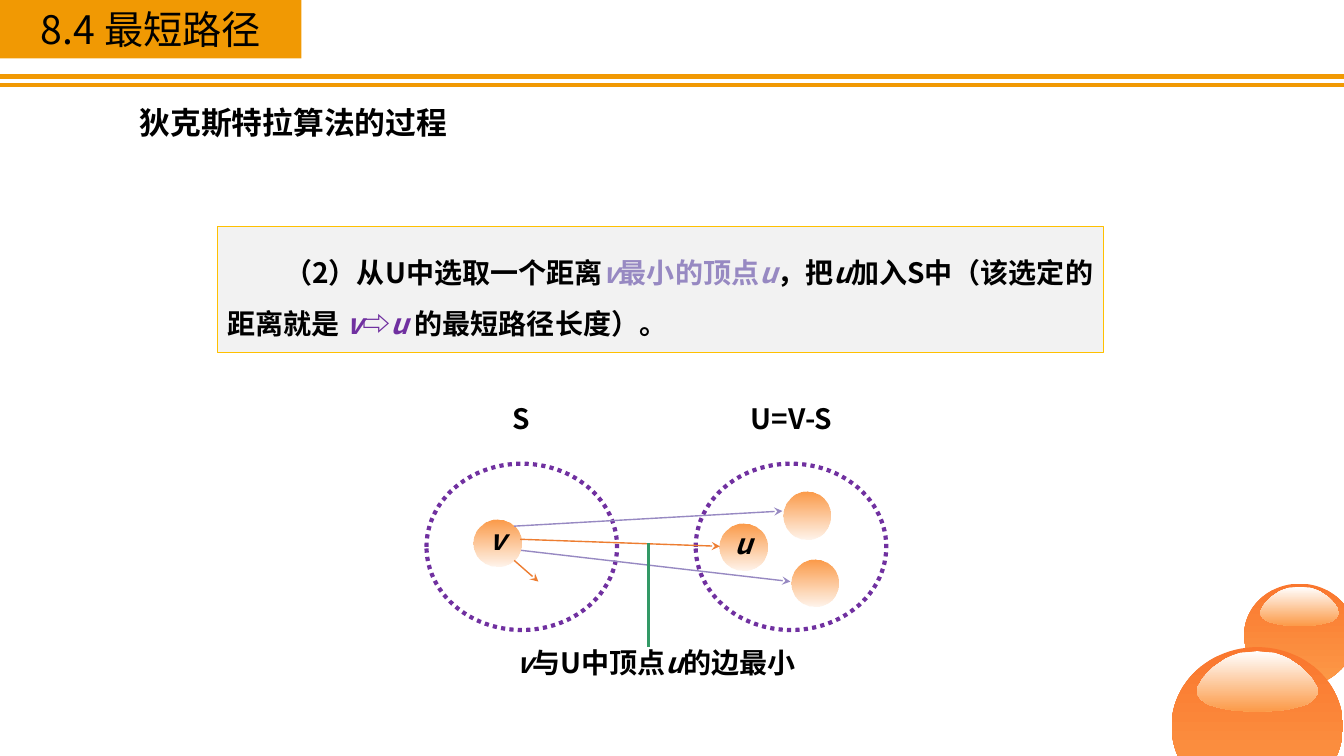
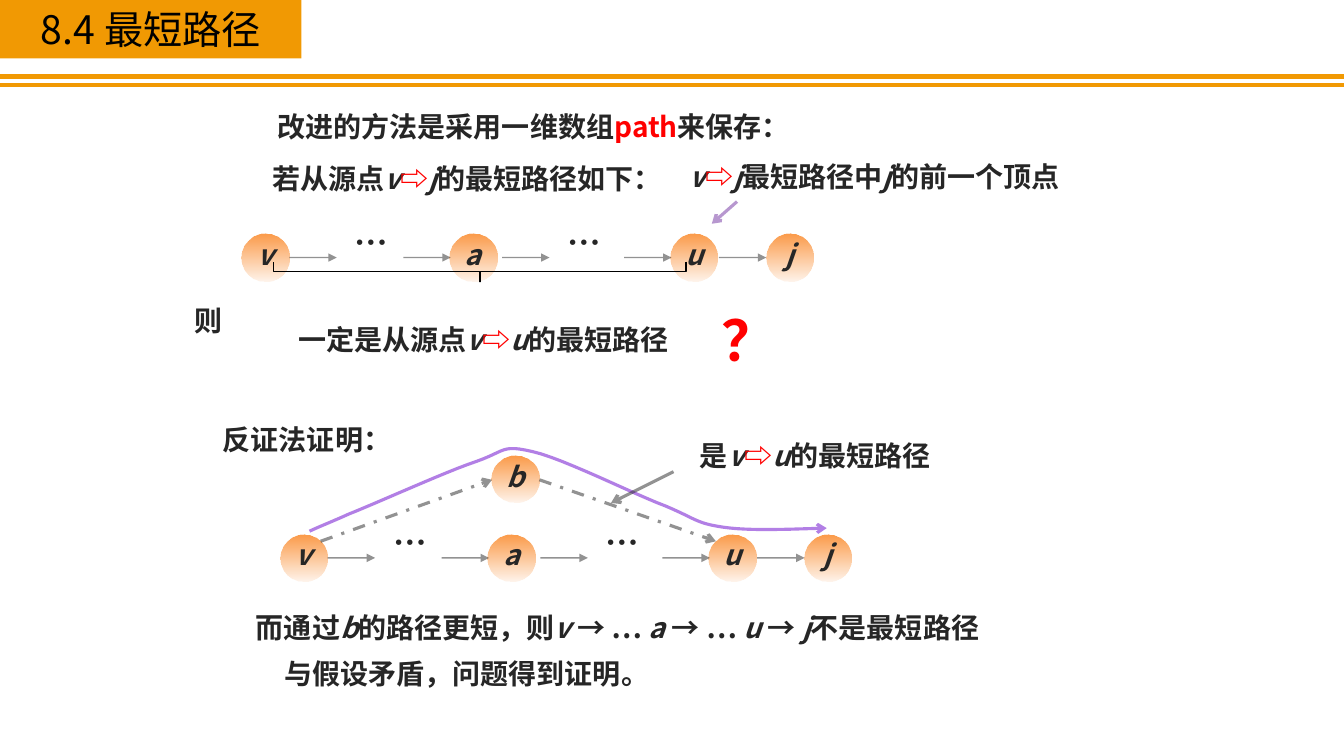
from lxml.etree import SubElement
from pptx import Presentation
from pptx.dml.color import RGBColor
from pptx.enum.dml import MSO_LINE
from pptx.enum.shapes import MSO_CONNECTOR, MSO_SHAPE
from pptx.enum.text import MSO_ANCHOR, MSO_AUTO_SIZE, PP_ALIGN
from pptx.oxml.ns import qn
from pptx.util import Inches, Pt

FONT = "Noto Sans CJK SC"
BLACK, INK, RED = "000000", "262626", "FF0000"
GOLD, PURPLE, PALE = "F19903", "7030A0", "9789C2"
PEACH, FLAME, RUST = "FC9A48", "FA772E", "ED7D31"
TITLE = "8.4 最短路径"
NODE = 0.47

# Runs are split by "|"; a first sign sets (colour, italic)
MARKS = {"_": (None, True), "!": (RED, False), "~": (PALE, True),
         "-": (PALE, False), "^": (PURPLE, True), "`": (PURPLE, False)}

# Slide 1 content
RULE = ("（2）从U中选取一个距离|~v|-最小的顶点|~u|，把|_u|加入S中（该选定的距离就是 "
        "|^v|`⇨|^u |的最短路径长度）。")
SETS = [("S", 4.23, 4.86, 0.63), ("U=V-S", 6.9, 7.3, 1.1)]
SPOTS = [("_v", 4.7, 5.15), ("_u", 7.14, 5.19), ("", 7.85, 5.55), ("", 7.77, 4.88)]
EDGES = [(5.16, 5.35, 7.14, 5.42, RUST), (5.1, 5.56, 5.34, 5.77, RUST),
         (5.1, 5.22, 7.76, 5.07, PALE), (5.17, 5.46, 7.84, 5.77, PALE)]
BALLS = [(12.34, 5.79, 1.1, 1.02, 12.89, 5.82, 0.39),
         (11.62, 6.42, 1.7, 1.57, 12.47, 6.46, 0.6)]
# Right half of the shine, for a half width and height of 1
SHINE = [(0, 0), (0.15, 0.02), (0.28, 0.03), (0.42, 0.08), (0.53, 0.13),
         (0.63, 0.2), (0.73, 0.27), (0.83, 0.37), (0.9, 0.45), (0.97, 0.57),
         (1, 0.63), (1, 0.7), (0.93, 0.8), (0.82, 0.88), (0.65, 0.93),
         (0.47, 0.97), (0.25, 0.99), (0, 1)]

# Slide 2 content: text, left, top, width, height, inset, line spacing
NOTES = [
    ("改进的方法是采用一维数组|!path|来保存：", 1.83, 0.97, 6.93, 0.5, True, 1.2),
    ("若从源点|_v|!⇨|_j|的最短路径如下：", 1.92, 1.67, 5.43, 0.27, False, 0.8),
    ("则", 1.87, 3.08, 0.39, 0.27, False, 0.8),
    ("一定是从源点|_v|!⇨|_u|的最短路径", 2.78, 3.26, 4.03, 0.27, False, 0.8),
    ("反证法证明：", 2.07, 4.21, 1.95, 0.37, True, 0.8),
    ("而通过|_b|的路径更短，则|_v| → … |_a| → … |_u| → |_j|不是最短路径",
     2.22, 6.07, 7.81, 0.37, True, 0.8),
    ("是|_v|!⇨|_u|的最短路径", 6.68, 4.37, 2.81, 0.37, True, 0.8),
    ("与假设矛盾，问题得到证明。", 2.09, 6.53, 5.08, 0.37, True, 0.8),
    ("_v|!⇨|_j|最短路径中|_j|的前一个顶点", 6.37, 1.6, 4.61, 0.37, True, 0.8),
]
ROWS = [(2.4, 2.32), (2.78, 5.3)]
STOPS = [("_v", 0), ("_a", 2.06), ("_u", 4.25), ("_j", 5.2)]
HOPS = [0.47, 1.6, 2.58, 3.79, 4.73]
DOTS = [0.97, 3.08]
# Detour over b: start, then two controls and an end for each curve
START = (3.07, 5.27)
CURVES = [((3.2, 5.21), (3.33, 5.16), (3.46, 5.1)),
          ((3.74, 4.99), (4.42, 4.68), (4.72, 4.58)),
          ((5.03, 4.47), (4.97, 4.41), (5.28, 4.48)),
          ((5.59, 4.55), (6.28, 4.9), (6.6, 5.02)),
          ((6.91, 5.15), (6.9, 5.19), (7.17, 5.23)),
          ((7.44, 5.27), (7.82, 5.25), (8.2, 5.24))]


def rgb(code):
    return RGBColor.from_string(code)


def box(*sizes):
    return [Inches(size) for size in sizes]


def write(shape, text, size=20, ink=BLACK, bold=True, space=0.8,
          align=PP_ALIGN.CENTER, font=FONT):
    para = shape.text_frame.paragraphs[0]
    para.alignment, para.line_spacing = align, space
    para.space_before = Pt(0)
    for part in text.split("|"):
        tint, slant = MARKS.get(part[:1], (None, False))
        run = para.add_run()
        run.text = part[1:] if part[:1] in MARKS else part
        face = run.font
        face.size, face.bold, face.italic = Pt(size), bold, slant
        face.color.rgb = rgb(tint or ink)
        face.name = font
        SubElement(run.font._element, qn("a:ea"), typeface=font)
    return para


def frame(shape, left, top, right, bottom, anchor=MSO_ANCHOR.TOP):
    area = shape.text_frame
    area.word_wrap, area.auto_size = True, MSO_AUTO_SIZE.NONE
    area.vertical_anchor = anchor
    area.margin_left, area.margin_top = box(left, top)
    area.margin_right, area.margin_bottom = box(right, bottom)


def label(slide, text, x, y, w, h, inset=True, space=0.8, **style):
    shape = slide.shapes.add_textbox(*box(x, y, w, h))
    side, edge = (0.1, 0.05) if inset else (0, 0)
    frame(shape, side, edge, side, edge)
    write(shape, text, space=space, **style)


def shade(shape, *stops):
    """Fill from top to bottom with (colour, alpha in percent) stops."""
    shape.fill.gradient()
    grad = shape.fill._xPr.find(qn("a:gradFill"))
    for child in list(grad):
        grad.remove(child)
    items = SubElement(grad, qn("a:gsLst"))
    for spot, (code, alpha) in enumerate(stops):
        stop = SubElement(items, qn("a:gs"), pos=str(spot * 100000))
        tint = SubElement(stop, qn("a:srgbClr"), val=code)
        if alpha < 100:
            SubElement(tint, qn("a:alpha"), val=str(alpha * 1000))
    SubElement(grad, qn("a:lin"), ang="5400000", scaled="0")


def stroke(shape, code, width, head=None, alpha=None, dash=None):
    pen = shape.line
    pen.color.rgb, pen.width = rgb(code), Pt(width)
    if dash:
        pen.dash_style = dash
    edge = pen._get_or_add_ln()
    if alpha:
        tint = edge.find(".//" + qn("a:srgbClr"))
        SubElement(tint, qn("a:alpha"), val=str(alpha * 1000))
    if head:
        SubElement(edge, qn("a:tailEnd"), type=head)


def line(slide, x1, y1, x2, y2, code, width, **style):
    shape = slide.shapes.add_connector(MSO_CONNECTOR.STRAIGHT, *box(x1, y1, x2, y2))
    stroke(shape, code, width, **style)
    SubElement(shape._element.spPr, qn("a:effectLst"))


def form(slide, kind, x, y, w, h):
    shape = slide.shapes.add_shape(kind, *box(x, y, w, h))
    shape.shadow.inherit = False
    shape.fill.background()
    shape.line.fill.background()
    return shape


def trace(slide, points, close):
    first, *rest = [box(*point) for point in points]
    pen = slide.shapes.build_freeform(*first, scale=1.0)
    pen.add_line_segments(rest, close=close)
    shape = pen.convert_to_shape()
    shape.shadow.inherit = False
    return shape


def node(slide, text, x, y, ink):
    shape = form(slide, MSO_SHAPE.OVAL, x, y, NODE, NODE)
    shade(shape, (PEACH, 100), (PEACH, 10))
    if text:
        frame(shape, 0.1, 0.05, 0.1, 0.05, MSO_ANCHOR.MIDDLE)
        shape.text_frame.word_wrap = False
        write(shape, text, ink=ink)


def start(deck):
    """Add a slide with the shared title band and double rule."""
    slide = deck.slides.add_slide(deck.slide_layouts[5])
    for y in (0.76, 0.84):
        line(slide, 0, y, 13.33, y, GOLD, 3)
    title = slide.shapes.title
    title.left, title.top, title.width, title.height = box(0, 0, 2.99, 0.58)
    title.fill.solid()
    title.fill.fore_color.rgb = rgb(GOLD)
    frame(title, 0.06, 0.14, 0.06, 0.06)
    write(title, TITLE, size=28, bold=False)
    return slide


def ball(slide, x, y, w, h, mid, top, half):
    shape = form(slide, MSO_SHAPE.OVAL, x, y, w, h)
    shade(shape, (FLAME, 100), (PEACH, 100))
    loop = SHINE + [(-dx, dy) for dx, dy in SHINE[-2:0:-1]]
    shine = trace(slide, [(mid + dx * half, top + dy * half) for dx, dy in loop], True)
    shade(shine, ("FFFFFF", 100), (PEACH, 100))
    shine.line.fill.background()


def bend(begin, curves, steps=12):
    points = [begin]
    for one, two, end in curves:
        base = points[-1]
        for step in range(1, steps + 1):
            t = step / steps
            s = 1 - t
            points.append(tuple(
                s**3 * a + 3 * s * s * t * b + 3 * s * t * t * c + t**3 * d
                for a, b, c, d in zip(base, one, two, end)))
    return points


def choose(deck):
    slide = start(deck)
    label(slide, "狄克斯特拉算法的过程", 0.9, 1.05, 4.02, 0.4, size=22)
    # Rule panel
    panel = form(slide, MSO_SHAPE.RECTANGLE, 2.16, 2.25, 8.78, 1.25)
    panel.fill.solid()
    panel.fill.fore_color.rgb = rgb("F2F2F2")
    stroke(panel, "FFC000", 0.5)
    frame(panel, 0.1, 0.12, 0.1, 0.12)
    para = write(panel, RULE, space=1.5, align=PP_ALIGN.JUSTIFY)
    para._p.get_or_add_pPr().set("indent", str(Inches(0.56)))
    # Sets, nodes and edges
    for name, x, left, width in SETS:
        ring = form(slide, MSO_SHAPE.OVAL, x, 4.6, 1.89, 1.65)
        stroke(ring, PURPLE, 3, dash=MSO_LINE.ROUND_DOT)
        label(slide, name, left, 4.05, width, 0.27, inset=False)
    for text, x, y in SPOTS:
        node(slide, text, x, y, BLACK)
    for *ends, code in EDGES:
        line(slide, *ends, code, 1, head="stealth")
    # Callout
    label(slide, "_v|与U中顶点|_u|的边最小", 5.01, 6.42, 2.99, 0.37)
    line(slide, 6.43, 5.39, 6.43, 6.42, "339966", 2.25)
    for item in BALLS:
        ball(slide, *item)


def prove(deck):
    slide = start(deck)
    for note in NOTES:
        label(slide, *note, ink=INK)
    label(slide, "？", 7.06, 3.11, 0.55, 0.65, size=40, ink=RED, font="Courier New")
    # Two rows of the same walk
    for left, top in ROWS:
        for text, dx in STOPS:
            node(slide, text, left + dx, top, INK)
        y = top + NODE / 2
        for dx in HOPS:
            line(slide, left + dx, y, left + dx + NODE, y, INK, 1,
                 head="triangle", alpha=50)
        for dx in DOTS:
            label(slide, "…", left + dx, top - 0.04, 0.63, 0.32, inset=False,
                  size=24, ink=INK)
    # Detour over b
    node(slide, "_b", 4.88, 4.52, INK)
    for ends in [(3.18, 5.37, 4.88, 4.76), (5.35, 4.76, 7.1, 5.37)]:
        line(slide, *ends, INK, 2.25, head="arrow", alpha=50, dash=MSO_LINE.DASH_DOT)
    route = trace(slide, bend(START, CURVES), False)
    route.fill.background()
    stroke(route, "6600CC", 2.25, head="arrow", alpha=50)
    # Pointers and brace
    line(slide, 6.68, 4.68, 6.06, 4.99, INK, 2.25, head="arrow", alpha=50)
    line(slide, 7.31, 2, 7.06, 2.22, PURPLE, 2.25, head="arrow", alpha=50)
    brace = form(slide, MSO_SHAPE.RIGHT_BRACE, 4.66, 0.65, 0.2, 4.09)
    brace.rotation = 90
    brace.adjustments[0], brace.adjustments[1] = 0, 0.5
    stroke(brace, BLACK, 1)


def main():
    deck = Presentation()
    deck.slide_width, deck.slide_height = box(13.33, 7.5)
    choose(deck)
    prove(deck)
    deck.save("out.pptx")


if __name__ == "__main__":
    main()
